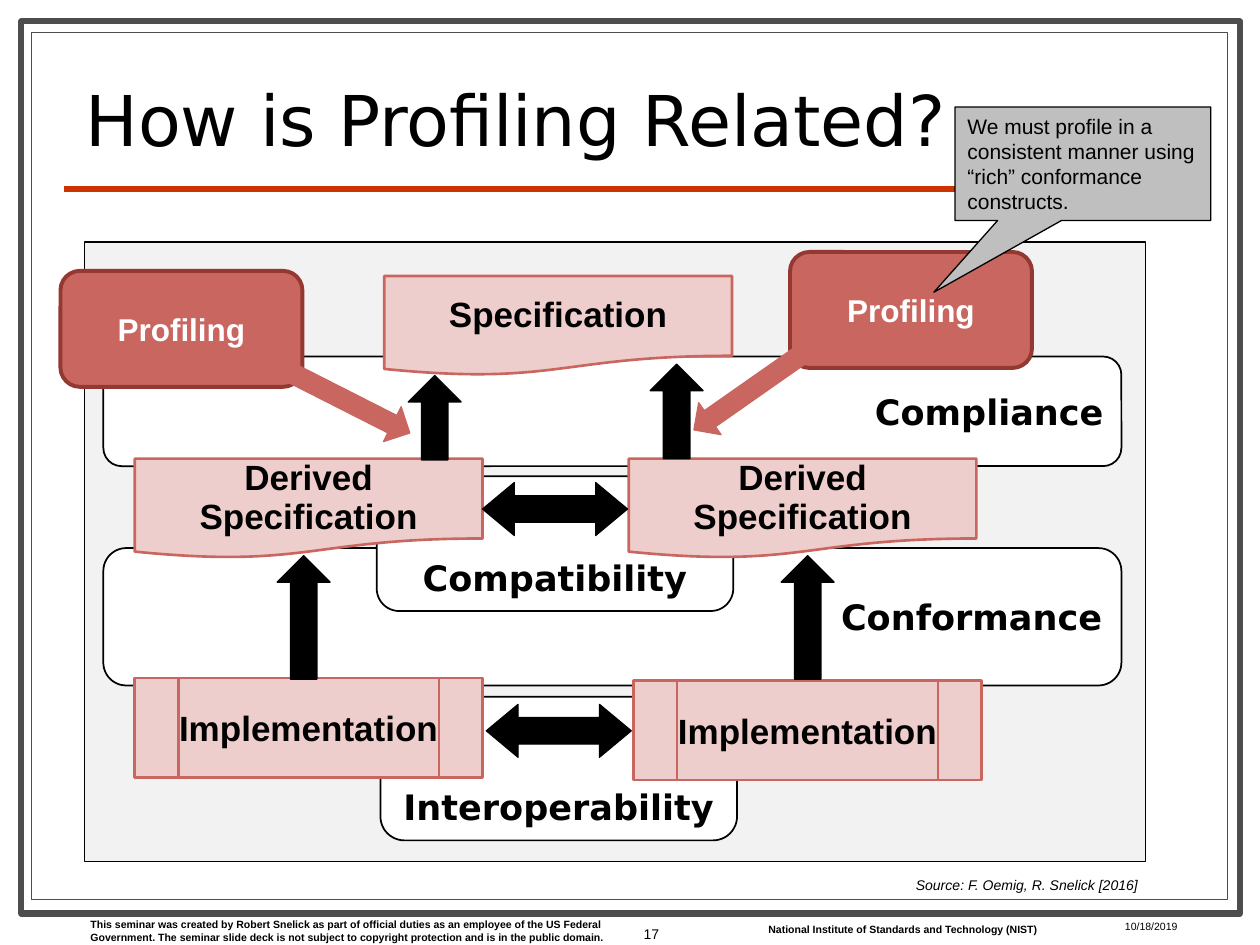
from lxml.etree import SubElement
from pptx import Presentation
from pptx.dml.color import RGBColor
from pptx.enum.shapes import MSO_CONNECTOR, MSO_SHAPE as Geo
from pptx.enum.text import MSO_ANCHOR as Anchor, PP_ALIGN as Align
from pptx.oxml.ns import qn
from pptx.util import Inches, Pt

COLORS = {
    "white": "FFFFFF", "black": "000000", "frame": "4D4D4D", "rule": "CC3300",
    "panel": "F2F2F2", "pink": "EECECC", "red": "C96660", "dark_red": "943832",
    "callout": "BFBFBF",
}
HEAD_FONT, BODY_FONT = "DejaVu Sans", "Arial"

# Content: (text, left, top, width, height)
FRAMES = [((0.17, 0.17, 9.67, 7.08), 3.5), ((0.25, 0.26, 9.49, 6.88), 0.75)]
PANEL = (0.67, 1.92, 8.42, 4.92)
TITLE = ("How is Profiling Related?", 0.58, 0.42, 8.92, 0.9)
RELATIONS = [
    ("Conformance", 0.82, 4.35, 8.08, 1.09),
    ("Compliance", 0.82, 2.83, 8.08, 0.87),
]
PEER_RELATIONS = [
    ("Compatibility", 2.99, 3.78, 2.83, 1.07),
    ("Interoperability", 3.02, 5.53, 2.83, 1.14),
]
ARTIFACT_SIZE = (2.76, 0.79)
SPECIFICATIONS = [
    ("Derived\nSpecification", 1.07, 3.64),
    ("Derived\nSpecification", 4.99, 3.64),
    ("Specification", 3.05, 2.19),
]
IMPLEMENTATIONS = [("Implementation", 1.07, 5.38), ("Implementation", 5.03, 5.4)]
PEER_ARROWS = [(3.83, 3.83, 1.15, 0.42), (3.86, 5.59, 1.15, 0.42)]
UP_ARROWS = [
    (2.2, 4.41, 0.42, 0.98), (6.2, 4.41, 0.42, 0.98),
    (3.24, 2.98, 0.42, 0.67), (5.16, 2.89, 0.42, 0.75),
]
PROFILINGS = [("Profiling", 6.27, 2, 1.92, 0.92), ("Profiling", 0.48, 2.15, 1.92, 0.92)]
PROFILING_ARROWS = [((2.24, 3.04, 1.07, 0.31), 26.9), ((5.41, 2.95, 1.07, 0.31), 145)]
CALLOUT = ("We must profile in a consistent manner using “rich” conformance constructs.",
           7.58, 0.85, 2.03, 0.9)
SOURCE = ("Source: F. Oemig, R. Snelick [2016]", 7.17, 6.91, 2.03, 0.24)
FOOTERS = [
    ("This seminar was created by Robert Snelick as part of official duties as an "
     "employee of the US Federal Government. The seminar slide deck is not subject to "
     "copyright protection and is in the public domain.", 0.62, 7.24, 4.33, 0.3),
    ("National Institute of Standards and Technology (NIST)", 6, 7.28, 2.38, 0.2),
]
PAGE_NUMBER = ("17", 4.75, 7.15, 0.58, 0.52)
DATE = ("10/18/2019", 8.83, 7.25, 0.92, 0.17)

prs = Presentation()
prs.slide_width, prs.slide_height = Inches(10), Inches(7.5)
slide = prs.slides.add_slide(prs.slide_layouts[6])


def rgb(name):
    return RGBColor.from_string(COLORS[name])


def write(shape, text, size=20, font=BODY_FONT, color="black", bold=False, italic=False,
          align=Align.LEFT, anchor=Anchor.TOP, spacing=None, wrap=True, side_inset=0.1):
    frame = shape.text_frame
    frame.word_wrap = wrap
    frame.vertical_anchor = anchor
    frame.margin_left = frame.margin_right = Inches(side_inset)
    frame.text = text
    for paragraph in frame.paragraphs:
        paragraph.alignment = align
        if spacing:
            paragraph.line_spacing = spacing
        paragraph.font.name, paragraph.font.size = font, Pt(size)
        paragraph.font.bold, paragraph.font.italic = bold, italic
        paragraph.font.color.rgb = rgb(color)


def draw(geometry, box, fill="white", line="black", width=0.75, rotation=0, adjust=()):
    shape = slide.shapes.add_shape(geometry, *map(Inches, box))
    shape.shadow.inherit = False
    shape.fill.solid()
    shape.fill.fore_color.rgb = rgb(fill)
    shape.line.color.rgb = rgb(line)
    shape.line.width = Pt(width)
    shape.rotation = rotation
    for index, value in enumerate(adjust):
        shape.adjustments[index] = value
    return shape


def label(item, **text_format):
    text, *box = item
    write(slide.shapes.add_textbox(*map(Inches, box)), text, **text_format)


# Slide frame, title rule and footers
for box, width in FRAMES:
    draw(Geo.RECTANGLE, box, line="frame", width=width)
rule = slide.shapes.add_connector(
    MSO_CONNECTOR.STRAIGHT, Inches(0.51), Inches(1.5), Inches(9.58), Inches(1.5))
rule.line.color.rgb = rgb("rule")
rule.line.width = Pt(3)
SubElement(rule._element.spPr, qn("a:effectLst"))
for footer in FOOTERS:
    label(footer, size=6, bold=True)
label(PAGE_NUMBER, size=8, align=Align.RIGHT, anchor=Anchor.MIDDLE)
label(DATE, size=6)

# Panel and the relations behind the artifacts
draw(Geo.RECTANGLE, PANEL, fill="panel")
for relations, align, anchor in [(RELATIONS, Align.RIGHT, Anchor.MIDDLE),
                                 (PEER_RELATIONS, Align.CENTER, Anchor.BOTTOM)]:
    for text, *box in relations:
        write(draw(Geo.ROUNDED_RECTANGLE, box, width=1), text, font=HEAD_FONT,
              bold=True, align=align, anchor=anchor)
label(TITLE, size=40, font=HEAD_FONT, anchor=Anchor.BOTTOM, spacing=0.8)

# Specifications and implementations
for artifacts, geometry, text_format in [
    (SPECIFICATIONS, Geo.FLOWCHART_DOCUMENT, {"spacing": 0.93, "side_inset": 0.09}),
    (IMPLEMENTATIONS, Geo.FLOWCHART_PREDEFINED_PROCESS, {"wrap": False}),
]:
    for text, *corner in artifacts:
        artifact = draw(geometry, (*corner, *ARTIFACT_SIZE), "pink", "red", 1.5)
        write(artifact, text, bold=True, align=Align.CENTER, anchor=Anchor.MIDDLE,
              **text_format)

# Arrows between artifacts
for box in PEER_ARROWS:
    draw(Geo.LEFT_RIGHT_ARROW, box, fill="black", adjust=(0.5, 0.6))
for box in UP_ARROWS:
    draw(Geo.DOWN_ARROW, box, fill="black", rotation=180)

# Profiling and its callout
for text, *box in PROFILINGS:
    write(draw(Geo.ROUNDED_RECTANGLE, box, "red", "dark_red", 2.25), text, size=18,
          color="white", bold=True, align=Align.CENTER, anchor=Anchor.MIDDLE)
for box, rotation in PROFILING_ARROWS:
    draw(Geo.RIGHT_ARROW, box, "red", "red", rotation=rotation)
callout_text, *callout_box = CALLOUT
write(draw(Geo.RECTANGULAR_CALLOUT, callout_box, "callout", adjust=(-0.583, 1.133)),
      callout_text, size=12)
label(SOURCE, size=8, italic=True, wrap=False)

prs.save("out.pptx")
